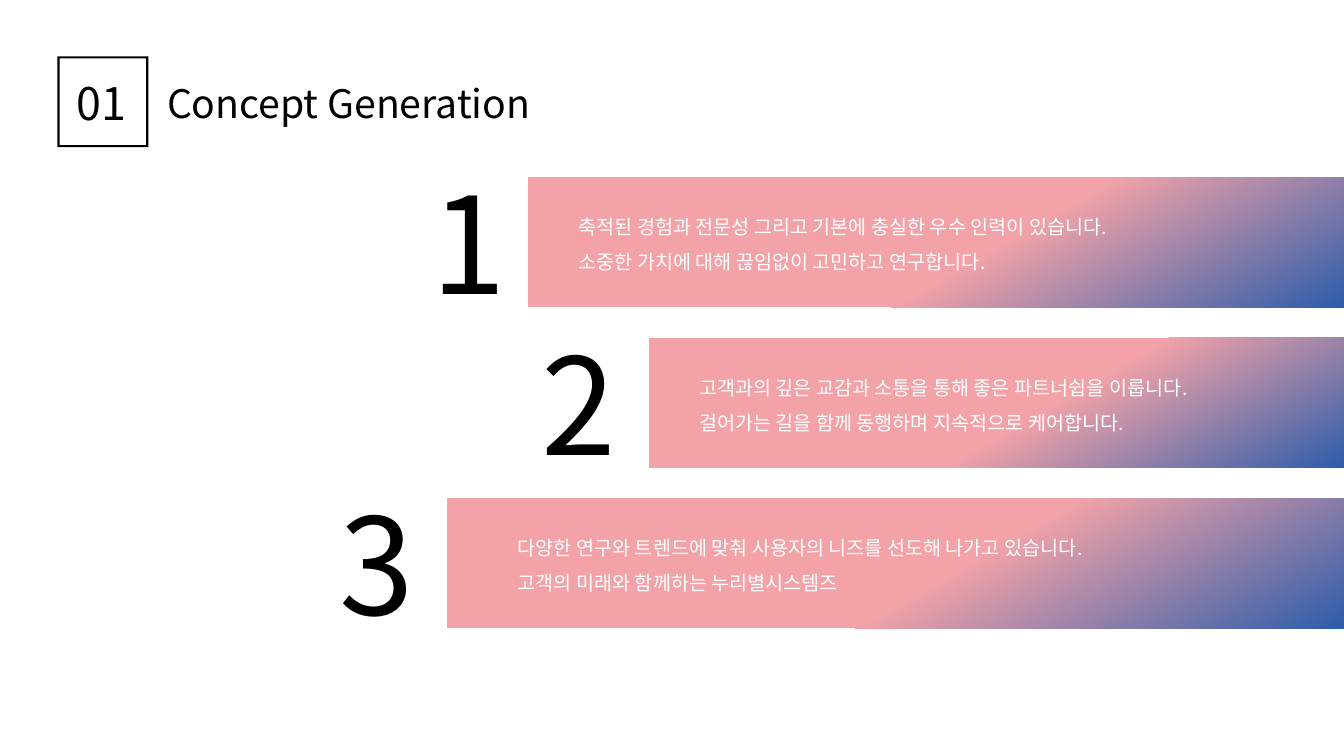
from dataclasses import dataclass

from lxml import etree
from pptx import Presentation
from pptx.dml.color import RGBColor
from pptx.enum.shapes import MSO_SHAPE
from pptx.enum.text import MSO_AUTO_SIZE
from pptx.oxml.ns import qn
from pptx.shapes.shapetree import GroupShapes, SlideShapes
from pptx.util import Cm, Pt

RECTANGLE = MSO_SHAPE.RECTANGLE
FRAME = MSO_SHAPE.FRAME
GROW = MSO_AUTO_SIZE.SHAPE_TO_FIT_TEXT
BLANK_LAYOUT = 6

SLIDE_WIDTH, SLIDE_HEIGHT = 33.87, 19.05
BAR_TOP, BAR_STEP, BAR_HEIGHT = 4.47, 4.04, 3.28
TEXT_DROP, TEXT_RIGHT, TEXT_HEIGHT = 0.53, 32.36, 1.96
NUMBER_RISE, NUMBER_WIDTH, NUMBER_HEIGHT = 0.55, 2.59, 4.37


@dataclass(frozen=True)
class Theme:
    font: str = "Noto Sans CJK KR"
    ink: RGBColor = RGBColor(0x00, 0x00, 0x00)
    paper: RGBColor = RGBColor(0xFF, 0xFF, 0xFF)
    pink: RGBColor = RGBColor(0xF3, 0xA3, 0xA8)
    blue: RGBColor = RGBColor(0x2E, 0x5D, 0xAA)
    body_size: int = 14
    title_size: int = 28
    index_size: int = 32
    number_size: int = 96


@dataclass(frozen=True)
class Box:
    left: float
    top: float
    width: float
    height: float

    def lengths(self) -> tuple[Cm, Cm, Cm, Cm]:
        return Cm(self.left), Cm(self.top), Cm(self.width), Cm(self.height)


@dataclass(frozen=True)
class Principle:
    number: str
    number_left: float
    bar_left: float
    text_left: float
    lines: tuple[str, str]


THEME = Theme()

PRINCIPLES = (
    Principle("1", 10.62, 13.3, 14.33, (
        "축적된 경험과 전문성 그리고 기본에 충실한 우수 인력이 있습니다.",
        "소중한 가치에 대해 끊임없이 고민하고 연구합니다.",
    )),
    Principle("2", 13.39, 16.35, 17.37, (
        "고객과의 깊은 교감과 소통을 통해 좋은 파트너쉽을 이룹니다.",
        "걸어가는 길을 함께 동행하며 지속적으로 케어합니다.",
    )),
    Principle("3", 8.31, 11.27, 12.8, (
        "다양한 연구와 트렌드에 맞춰 사용자의 니즈를 선도해 나가고 있습니다.",
        "고객의 미래와 함께하는 누리별시스템즈",
    )),
)


def add_text(shapes: SlideShapes | GroupShapes, box: Box, lines: tuple[str, ...],
             size: int, color: RGBColor, wrap: bool = True,
             line_spacing: float = 1.0) -> None:
    frame = shapes.add_textbox(*box.lengths()).text_frame
    frame.word_wrap = wrap
    frame.auto_size = GROW
    for position, line in enumerate(lines):
        paragraph = frame.add_paragraph() if position else frame.paragraphs[0]
        paragraph.line_spacing = line_spacing
        run = paragraph.add_run()
        run.text = line
        run.font.size = Pt(size)
        run.font.color.rgb = color
        run.font.name = THEME.font
        properties = run.font._element
        etree.SubElement(properties, qn("a:ea"), typeface=THEME.font)


def add_bar(shapes: SlideShapes, box: Box) -> None:
    bar = shapes.add_shape(RECTANGLE, *box.lengths())
    bar.shadow.inherit = False
    bar.line.fill.background()
    bar.fill.gradient()
    bar.fill.gradient_angle = 300
    stops = ((0.56, THEME.pink), (1.0, THEME.blue))
    for stop, (position, color) in zip(bar.fill.gradient_stops, stops):
        stop.position = position
        stop.color.rgb = color


def add_principle(shapes: SlideShapes, principle: Principle, top: float) -> None:
    add_bar(shapes, Box(principle.bar_left, top,
                        SLIDE_WIDTH - principle.bar_left, BAR_HEIGHT))
    add_text(shapes, Box(principle.text_left, top + TEXT_DROP,
                         TEXT_RIGHT - principle.text_left, TEXT_HEIGHT),
             principle.lines, THEME.body_size, THEME.paper, line_spacing=1.5)
    add_text(shapes, Box(principle.number_left, top - NUMBER_RISE,
                         NUMBER_WIDTH, NUMBER_HEIGHT),
             (principle.number,), THEME.number_size, THEME.ink, wrap=False)


def add_heading(shapes: SlideShapes) -> None:
    heading = shapes.add_group_shape().shapes
    border = heading.add_shape(FRAME, *Box(1.45, 1.42, 2.29, 2.29).lengths())
    border.adjustments[0] = 0.024
    border.shadow.inherit = False
    border.fill.solid()
    border.fill.fore_color.rgb = THEME.ink
    border.line.fill.background()
    add_text(heading, Box(1.68, 1.78, 2.06, 1.63), ("01",),
             THEME.index_size, THEME.ink)
    add_text(heading, Box(3.96, 1.88, 9.83, 1.45), ("Concept Generation",),
             THEME.title_size, THEME.ink)


def main() -> None:
    presentation = Presentation()
    presentation.slide_width = Cm(SLIDE_WIDTH)
    presentation.slide_height = Cm(SLIDE_HEIGHT)
    slide = presentation.slides.add_slide(presentation.slide_layouts[BLANK_LAYOUT])
    for row, principle in enumerate(PRINCIPLES):
        add_principle(slide.shapes, principle, BAR_TOP + row * BAR_STEP)
    add_heading(slide.shapes)
    presentation.save("out.pptx")


if __name__ == "__main__":
    main()
